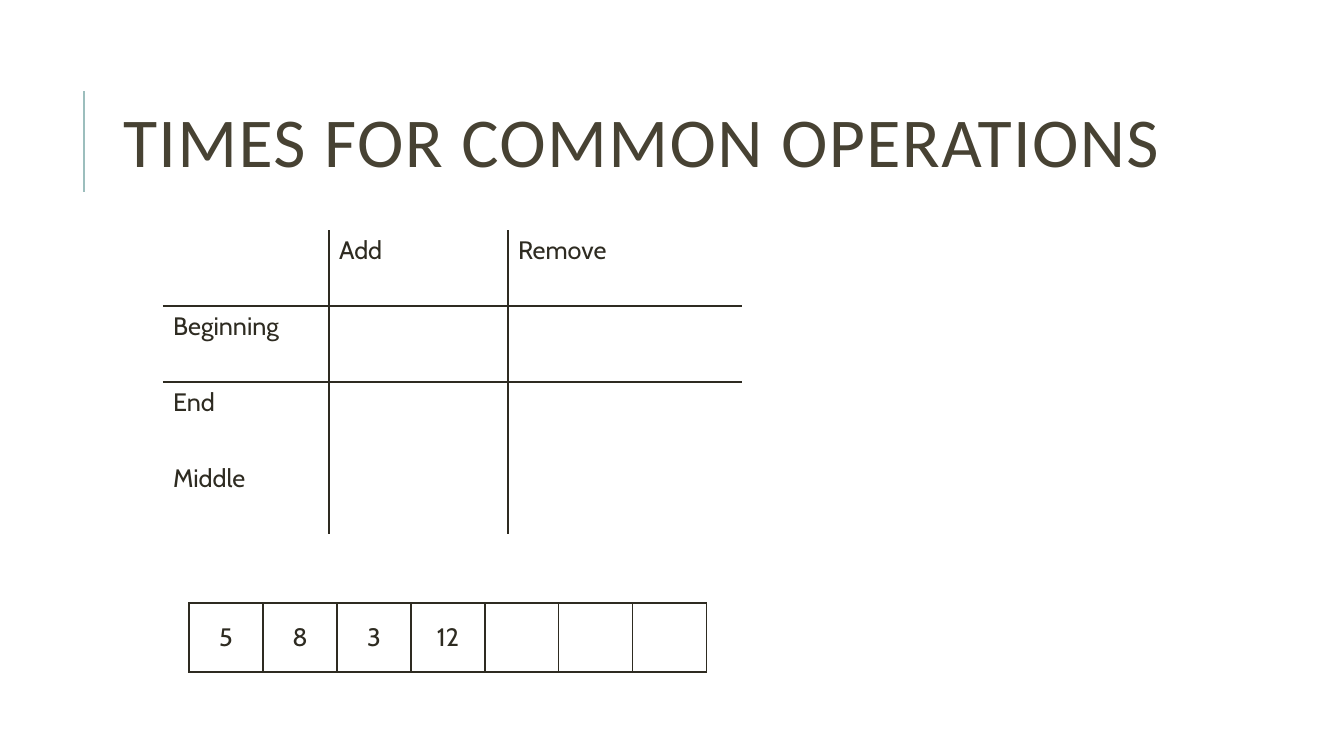
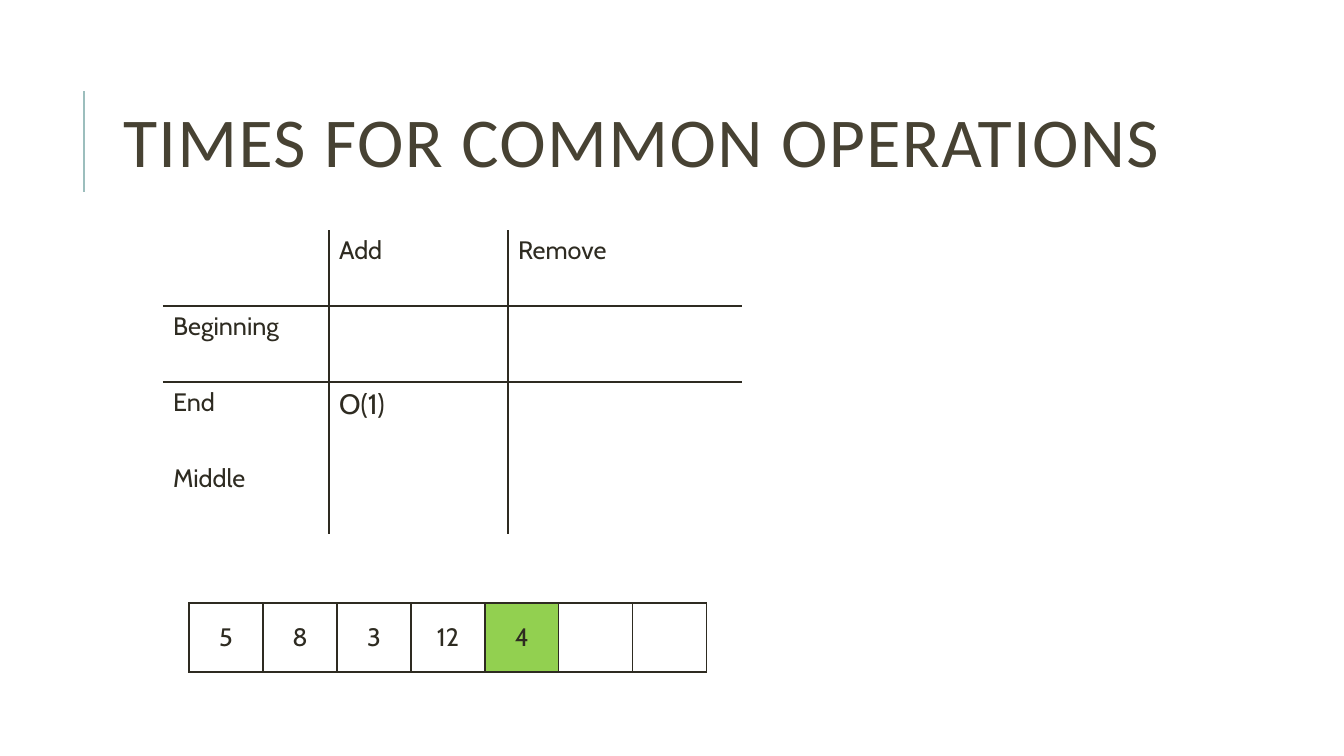
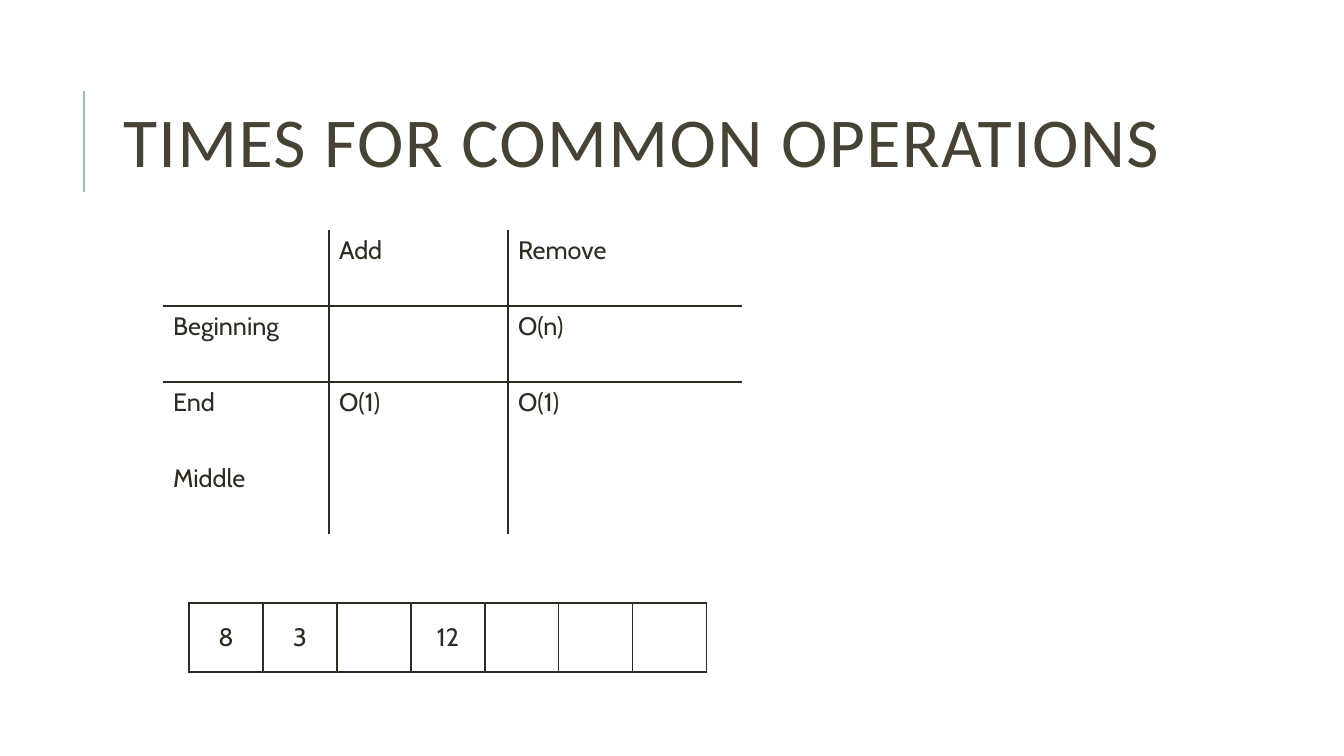
from dataclasses import dataclass

from lxml import etree
from pptx import Presentation, util as u
from pptx.dml.color import RGBColor
from pptx.enum import shapes, text
from pptx.oxml import parse_xml
from pptx.oxml.ns import nsdecls, qn


@dataclass(frozen=True)
class Theme:
    ink: str = "2E2B21"
    title: str = "474233"
    rule: str = "9CBEBD"
    mark: str = "92D050"
    head: str = "Calibri"
    body: str = "Cabin"
    head_pt: int = 50
    body_pt: int = 18
    big_pt: int = 20
    rule_pt: float = 1.5
    edge_pt: int = 1


T = Theme()
TITLE = "TIMES FOR COMMON OPERATIONS"
HEADS = ["", "Add", "Remove"]
ROWS = ["Beginning", "End", "Middle"]
SLOTS = 7

# costs: (row, column) -> (text, size); marked: highlighted slots
SLIDES = [
    {"costs": {}, "slots": ["5", "8", "3", "12"], "marked": []},
    {"costs": {(2, 1): ("O(1)", T.big_pt)},
     "slots": ["5", "8", "3", "12", "4"], "marked": [4]},
    {"costs": {(1, 2): ("O(n)", T.body_pt), (2, 1): ("O(1)", T.body_pt),
               (2, 2): ("O(1)", T.body_pt)},
     "slots": ["8", "3", "", "12"], "marked": []},
]

COST_AT, COST_COLS, COST_ROW = (163, 230), [166, 179, 234], 76
SLOT_AT, SLOT_W, SLOT_H = (189, 603), 74, 69


def px(n):
    return u.Emu(round(n * 914400 / 100.8))


def rgb(code):
    return RGBColor.from_string(code)


def style(layout):
    """Give the layout's title its place and type."""
    title = layout.placeholders[0]
    title.left, title.top, title.width, title.height = map(px, (113, 65, 1071, 165))
    title.text_frame.vertical_anchor = text.MSO_ANCHOR.MIDDLE
    title.text_frame.auto_size = text.MSO_AUTO_SIZE.NONE
    level = parse_xml(
        f'<a:lvl1pPr {nsdecls("a")} algn="l">'
        '<a:lnSpc><a:spcPct val="80000"/></a:lnSpc>'
        f'<a:defRPr sz="{T.head_pt * 100}" spc="100">'
        f'<a:solidFill><a:srgbClr val="{T.title}"/></a:solidFill>'
        f'<a:latin typeface="{T.head}"/></a:defRPr></a:lvl1pPr>')
    title.element.find(".//" + qn("a:lstStyle")).append(level)


def add_rule(layout, slide):
    """Draw the title rule, then move it to the layout for all slides."""
    rule = slide.shapes.add_connector(
        shapes.MSO_CONNECTOR.STRAIGHT, *map(px, (84, 192, 84, 91)))
    rule.line.color.rgb = rgb(T.rule)
    rule.line.width = u.Pt(T.rule_pt)
    etree.SubElement(rule.element.spPr, qn("a:effectLst"))
    layout.shapes.element.append(rule.element)


def set_edges(cell, sides):
    """Line the named sides (of L, R, T, B) and clear the rest."""
    props = cell._tc.get_or_add_tcPr()
    for side in "LRTB":
        line = etree.SubElement(props, qn(f"a:ln{side}"), w=str(u.Pt(T.edge_pt)))
        if side in sides:
            fill = etree.SubElement(line, qn("a:solidFill"))
            etree.SubElement(fill, qn("a:srgbClr"), val=T.ink)
        else:
            etree.SubElement(line, qn("a:noFill"))


def add_grid(slide, at, cols, rows):
    """Add a plain table with no style bands."""
    size = sum(cols), sum(rows)
    grid = slide.shapes.add_table(
        len(rows), len(cols), *map(px, at + size)).table
    grid.first_row = grid.horz_banding = False
    for col, wide in zip(grid.columns, cols):
        col.width = px(wide)
    for row, high in zip(grid.rows, rows):
        row.height = px(high)
    return grid


def fill_cell(cell, words, sides, size=T.body_pt, fill=None):
    set_edges(cell, sides)
    if fill:
        cell.fill.solid()
        cell.fill.fore_color.rgb = rgb(fill)
    else:
        cell.fill.background()
    cell.text = words
    font = cell.text_frame.paragraphs[0].font
    font.name, font.size, font.bold = T.body, u.Pt(size), False
    font.color.rgb = rgb(T.ink)


def add_costs(slide, costs):
    table = [HEADS] + [[name, "", ""] for name in ROWS]
    grid = add_grid(slide, COST_AT, COST_COLS, [COST_ROW] * len(table))
    for r, row in enumerate(table):
        for c, words in enumerate(row):
            sides = ("L" if c > 0 else "") + ("R" if c < 2 else "")
            sides += ("T" if r in (1, 2) else "") + ("B" if r < 2 else "")
            words, size = costs.get((r, c), (words, T.body_pt))
            fill_cell(grid.cell(r, c), words, sides, size)


def add_slots(slide, slots, marked):
    grid = add_grid(slide, SLOT_AT, [SLOT_W] * SLOTS, [SLOT_H])
    for c in range(SLOTS):
        cell = grid.cell(0, c)
        fill_cell(cell, slots[c] if c < len(slots) else "", "LRTB",
                  fill=T.mark if c in marked else None)
        cell.vertical_anchor = text.MSO_ANCHOR.MIDDLE
        cell.text_frame.paragraphs[0].alignment = text.PP_ALIGN.CENTER


def main():
    deck = Presentation()
    deck.slide_width, deck.slide_height = px(1344), px(756)
    layout = deck.slide_layouts[5]
    style(layout)
    for n, data in enumerate(SLIDES):
        slide = deck.slides.add_slide(layout)
        if n == 0:
            add_rule(layout, slide)
        slide.shapes.title.text = TITLE
        add_costs(slide, data["costs"])
        add_slots(slide, data["slots"], data["marked"])
    deck.save("out.pptx")


if __name__ == "__main__":
    main()
